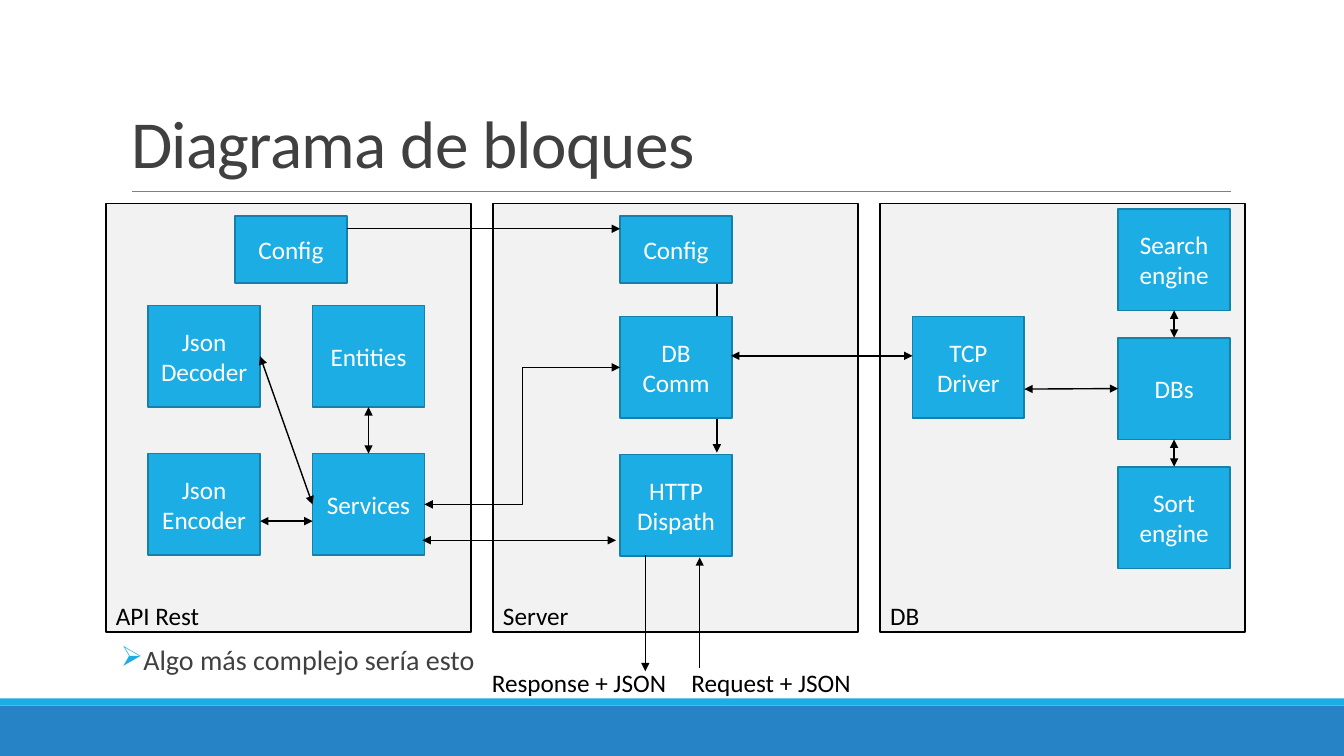
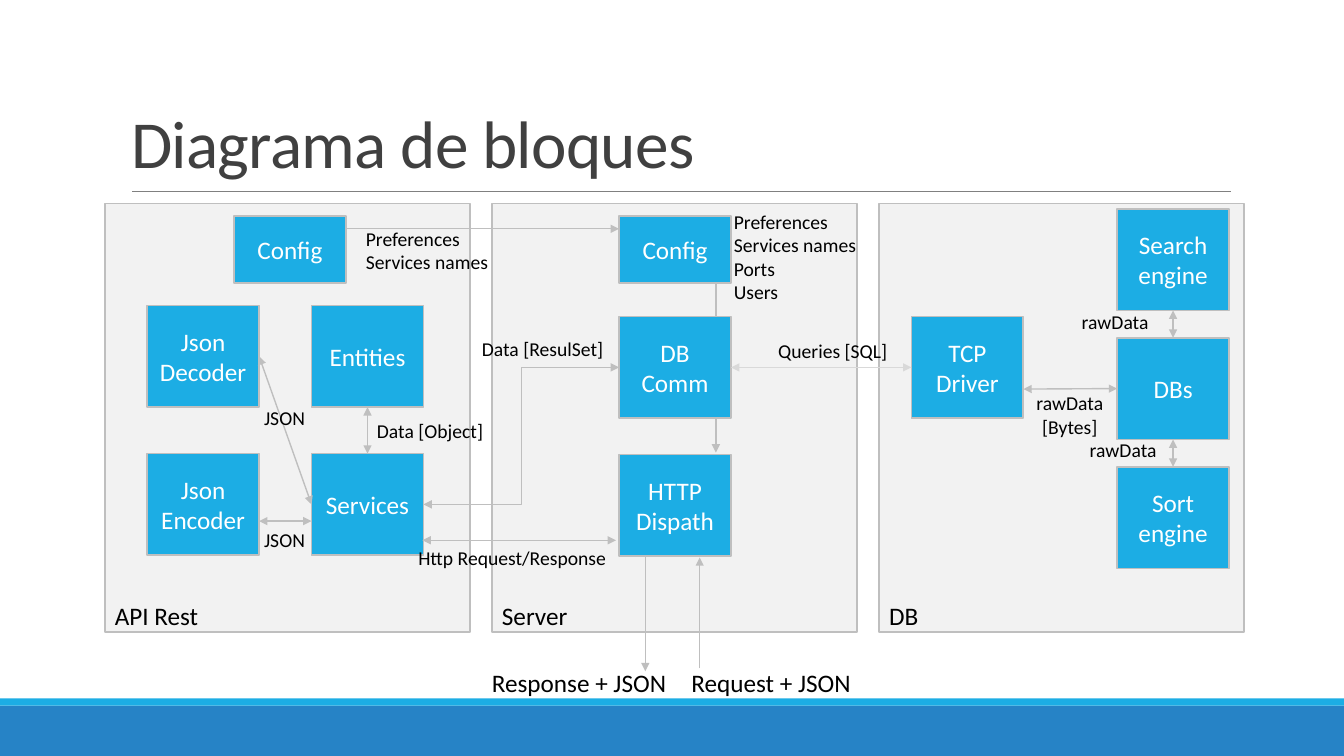
from dataclasses import dataclass
from typing import NamedTuple

from lxml.etree import SubElement
from pptx import Presentation
from pptx.dml.color import RGBColor
from pptx.enum.shapes import MSO_CONNECTOR as Connector, MSO_SHAPE as Preset
from pptx.enum.text import MSO_ANCHOR as Anchor, MSO_AUTO_SIZE as AutoSize, PP_ALIGN as Align
from pptx.oxml.ns import qn
from pptx.util import Emu, Pt

# Scale, colours and type
EMU_PER_PX = 9144  # 100 px to the inch
SLIDE_WIDTH, SLIDE_HEIGHT = 1333, 750
FONT = "Calibri"
BLACK, WHITE, DARK = "000000", "FFFFFF", "404040"
ACCENT, BAND, RULE = "1CADE4", "2683C6", "808080"
PANEL_FILL, BOX_EDGE = "F2F2F2", "1580A9"
GREY, PALE = "BFBFBF", "D9D9D9"

# Diagram grid
PANEL_LEFT, PANEL_TOP, PANEL_WIDTH, PANEL_HEIGHT, PANEL_STEP = 105, 202, 362, 425, 384
BOX_WIDTH, BOX_HEIGHT, CONFIG_HEIGHT = 111, 101, 67
DECODER_X, SERVICES_X, SERVER_X, DRIVER_X, ENGINE_X = 147, 310, 615, 905, 1109
DBS_TOP, ENGINE_STEP = 335, 128
TOP, LEFT, BOTTOM, RIGHT = range(4)


class Point(NamedTuple):
    x: int
    y: int


class Joint(NamedTuple):
    box: str
    side: int


@dataclass(frozen=True)
class Box:
    name: str
    text: str
    x: int
    y: int
    height: int = BOX_HEIGHT


@dataclass(frozen=True)
class Link:
    start: Point | Joint
    end: Point | Joint
    both: bool = True
    kind: Connector = Connector.STRAIGHT
    color: str = ""


@dataclass(frozen=True)
class Label:
    text: str
    x: int
    y: int
    width: int
    size: int = 14
    align: Align = Align.LEFT


@dataclass(frozen=True)
class Diagram:
    shift: int
    panel_edge: str
    box_edge: str
    link_color: str
    queries: Link
    labels: tuple[Label, ...] = ()


PANELS = ("API Rest", "Server", "DB")
BOXES = (
    Box("api config", "Config", 233, 214, CONFIG_HEIGHT),
    Box("decoder", "Json Decoder", DECODER_X, 303),
    Box("encoder", "Json Encoder", DECODER_X, 450),
    Box("entities", "Entities", SERVICES_X, 303),
    Box("services", "Services", SERVICES_X, 450),
    Box("server config", "Config", SERVER_X, 214, CONFIG_HEIGHT),
    Box("db comm", "DB Comm", SERVER_X, 314),
    Box("http", "HTTP Dispath", SERVER_X, 451),
    Box("driver", "TCP Driver", DRIVER_X, 314),
    Box("search", "Search\nengine", ENGINE_X, DBS_TOP - ENGINE_STEP),
    Box("dbs", "DBs", ENGINE_X, DBS_TOP),
    Box("sort", "Sort\nengine", ENGINE_X, DBS_TOP + ENGINE_STEP),
)

# The link behind the boxes, those that move with them, and those that stay
BACK_LINK = Link(Point(711, 281), Point(711, 449), both=False)
LINKS = (
    Link(Point(344, 227), Point(615, 227), both=False),
    Link(Joint("dbs", LEFT), Point(1016, 386)),
    Link(Joint("dbs", TOP), Joint("search", BOTTOM)),
    Link(Joint("sort", TOP), Joint("dbs", BOTTOM)),
    Link(Joint("services", RIGHT), Joint("db comm", LEFT), kind=Connector.ELBOW),
    Link(Joint("entities", BOTTOM), Joint("services", TOP)),
    Link(Point(310, 517), Point(258, 517)),
    Link(Joint("services", LEFT), Joint("decoder", RIGHT)),
)
FIXED_LINKS = (
    Link(Point(611, 536), Point(419, 536)),
    Link(Point(640, 551), Point(640, 666), both=False),
    Link(Point(694, 663), Point(694, 553), both=False),
)
GATE_LABELS = (
    Label("Request + JSON", 676, 657, 180, size=18),
    Label("Response + JSON", 478, 657, 195, size=18),
)
FLOW_LABELS = (
    Label("Preferences\nServices names", 353, 220, 143),
    Label("Preferences\nServices names\nPorts\nUsers", 718, 203, 143),
    Label("JSON", 252, 398, 61),
    Label("JSON", 252, 519, 61),
    Label("Data [Object]", 364, 411, 127),
    Label("Data [ResulSet]", 468, 329, 141),
    Label("Http Request/Response", 405, 537, 209),
    Label("Queries [SQL]", 762, 331, 129),
    Label("rawData\n[Bytes]", 1015, 383, 92, align=Align.CENTER),
    Label("rawData", 1063, 303, 87),
    Label("rawData", 1071, 430, 87),
)
OVERVIEW = Diagram(0, BLACK, BOX_EDGE, BLACK, Link(Point(905, 353), Point(725, 353)))
DETAILED = Diagram(-1, GREY, GREY, GREY,
                   Link(Joint("driver", LEFT), Joint("db comm", RIGHT), color=PALE), FLOW_LABELS)


def px(length: int) -> Emu:
    return Emu(length * EMU_PER_PX)


def rgb(color: str) -> RGBColor:
    return RGBColor.from_string(color)


def write(shape, text: str, *, size: int, color: str, align=Align.LEFT, anchor=Anchor.TOP,
          wrap=True, grow=False, insets=(10, 5, 10, 5), line_spacing: float = 1.0) -> None:
    """Fill a shape with one paragraph for each line of text."""
    frame = shape.text_frame
    frame.word_wrap = wrap
    frame.auto_size = AutoSize.SHAPE_TO_FIT_TEXT if grow else AutoSize.NONE
    frame.vertical_anchor = anchor
    frame.margin_left, frame.margin_top, frame.margin_right, frame.margin_bottom = map(px, insets)
    for index, line in enumerate(text.split("\n")):
        paragraph = frame.add_paragraph() if index else frame.paragraphs[0]
        paragraph.alignment = align
        paragraph.line_spacing = line_spacing
        run = paragraph.add_run()
        run.text = line
        run.font.name = FONT
        run.font.size = Pt(size)
        run.font.color.rgb = rgb(color)


def add_rectangle(slide, x: int, y: int, width: int, height: int, fill: str, edge: str = ""):
    shape = slide.shapes.add_shape(Preset.RECTANGLE, px(x), px(y), px(width), px(height))
    shape.shadow.inherit = False
    shape.fill.solid()
    shape.fill.fore_color.rgb = rgb(fill)
    if edge:
        shape.line.color.rgb = rgb(edge)
        shape.line.width = Pt(1.25)
    else:
        shape.line.fill.background()
    return shape


def add_line(slide, start: Point, end: Point, color: str, width: float,
             kind=Connector.STRAIGHT, arrows: tuple[str, ...] = ()):
    line = slide.shapes.add_connector(kind, px(start.x), px(start.y), px(end.x), px(end.y))
    line.line.color.rgb = rgb(color)
    line.line.width = Pt(width)
    properties = line.element.find(qn("p:spPr"))
    outline = properties.find(qn("a:ln"))
    for arrow in arrows:
        SubElement(outline, qn(f"a:{arrow}"), type="triangle")
    SubElement(properties, qn("a:effectLst"))
    return line


def add_link(slide, link: Link, boxes: dict, color: str, shift: int = 0) -> None:
    """Draw an arrow and join it to the boxes it names."""
    start, end = (Point(tip.x + shift, tip.y) if isinstance(tip, Point) else Point(0, 0)
                  for tip in (link.start, link.end))
    arrows = ("headEnd", "tailEnd") if link.both else ("tailEnd",)
    line = add_line(slide, start, end, link.color or color, 1, link.kind, arrows)
    if isinstance(link.start, Joint):
        line.begin_connect(boxes[link.start.box], link.start.side)
    if isinstance(link.end, Joint):
        line.end_connect(boxes[link.end.box], link.end.side)


def add_label(slide, label: Label) -> None:
    line_count = label.text.count("\n") + 1
    height = 10 + round(line_count * label.size * 1.7)
    shape = slide.shapes.add_textbox(px(label.x), px(label.y), px(label.width), px(height))
    write(shape, label.text, size=label.size, color=BLACK, align=label.align,
          wrap=False, grow=True)


def add_bands(slide, layout) -> None:
    """Draw the bands and the title rule, then hand them to the layout."""
    parts = (
        add_rectangle(slide, 0, 700, SLIDE_WIDTH, 50, BAND),
        add_rectangle(slide, 0, 693, SLIDE_WIDTH, 7, ACCENT),
        add_line(slide, Point(131, 190), Point(1221, 190), RULE, 0.5),
    )
    for part in parts:
        layout.shapes.element.append(part.element)


def set_title(slide, text: str) -> None:
    title = slide.shapes.title
    title.left, title.top, title.width, title.height = map(px, (120, 27, 1100, 159))
    write(title, text, size=48, color=DARK, anchor=Anchor.BOTTOM, line_spacing=0.85)
    for properties in title.element.iter(qn("a:rPr")):
        properties.set("spc", "-50")


def add_bullet(slide, text: str) -> None:
    shape = slide.shapes.add_textbox(px(120), px(636), px(1149), px(67))
    write(shape, text, size=20, color=DARK, insets=(0, 5, 0, 5), line_spacing=0.9)
    for properties in shape.element.iter(qn("a:pPr")):
        properties.set("marL", str(px(10)))
        properties.set("indent", str(px(-10)))
        SubElement(SubElement(properties, qn("a:buClr")), qn("a:srgbClr"), val=ACCENT)
        SubElement(properties, qn("a:buChar"), char="➢")


def draw_diagram(slide, diagram: Diagram) -> None:
    # Panels
    for index, name in enumerate(PANELS):
        x = PANEL_LEFT + index * PANEL_STEP + diagram.shift
        panel = add_rectangle(slide, x, PANEL_TOP, PANEL_WIDTH, PANEL_HEIGHT,
                              PANEL_FILL, diagram.panel_edge)
        write(panel, name, size=18, color=BLACK, anchor=Anchor.BOTTOM, insets=(10, 5, 10, 1))

    # Boxes, over the link that runs behind them
    boxes = {}
    add_link(slide, BACK_LINK, boxes, diagram.link_color, diagram.shift)
    for box in BOXES:
        shape = add_rectangle(slide, box.x + diagram.shift, box.y, BOX_WIDTH, box.height,
                              ACCENT, diagram.box_edge)
        write(shape, box.text, size=18, color=WHITE, align=Align.CENTER, anchor=Anchor.MIDDLE)
        boxes[box.name] = shape

    # Links and labels
    for link in LINKS:
        add_link(slide, link, boxes, diagram.link_color, diagram.shift)
    for link in (*FIXED_LINKS, diagram.queries):
        add_link(slide, link, boxes, diagram.link_color)
    for label in (*diagram.labels, *GATE_LABELS):
        add_label(slide, label)


def main() -> None:
    presentation = Presentation()
    presentation.slide_width, presentation.slide_height = px(SLIDE_WIDTH), px(SLIDE_HEIGHT)
    layout = presentation.slide_layouts.get_by_name("Title Only")
    overview, detailed = (presentation.slides.add_slide(layout) for _ in range(2))
    add_bands(overview, layout)
    for slide, diagram in ((overview, OVERVIEW), (detailed, DETAILED)):
        set_title(slide, "Diagrama de bloques")
        draw_diagram(slide, diagram)
    add_bullet(overview, "Algo más complejo sería esto")
    presentation.save("out.pptx")


if __name__ == "__main__":
    main()
